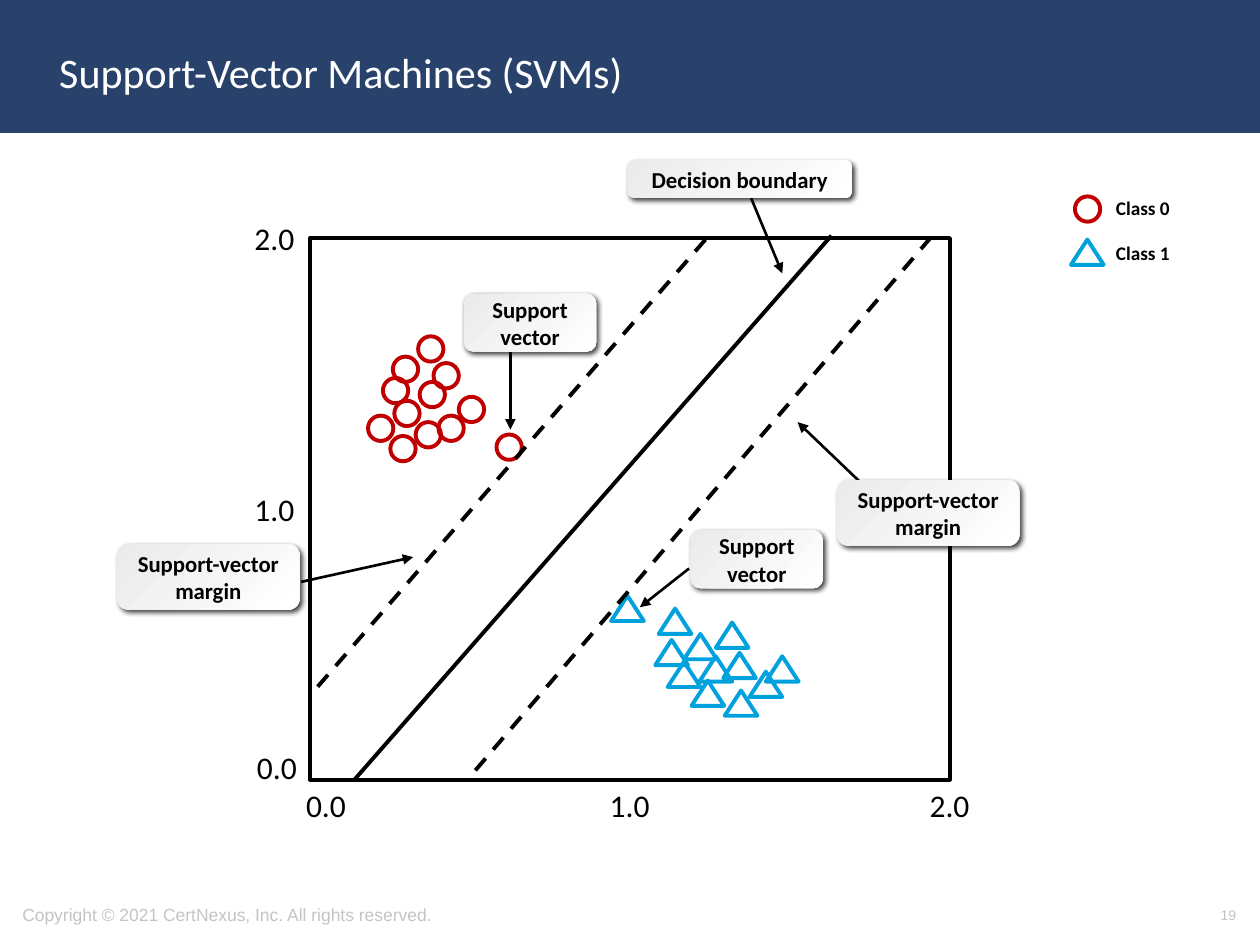
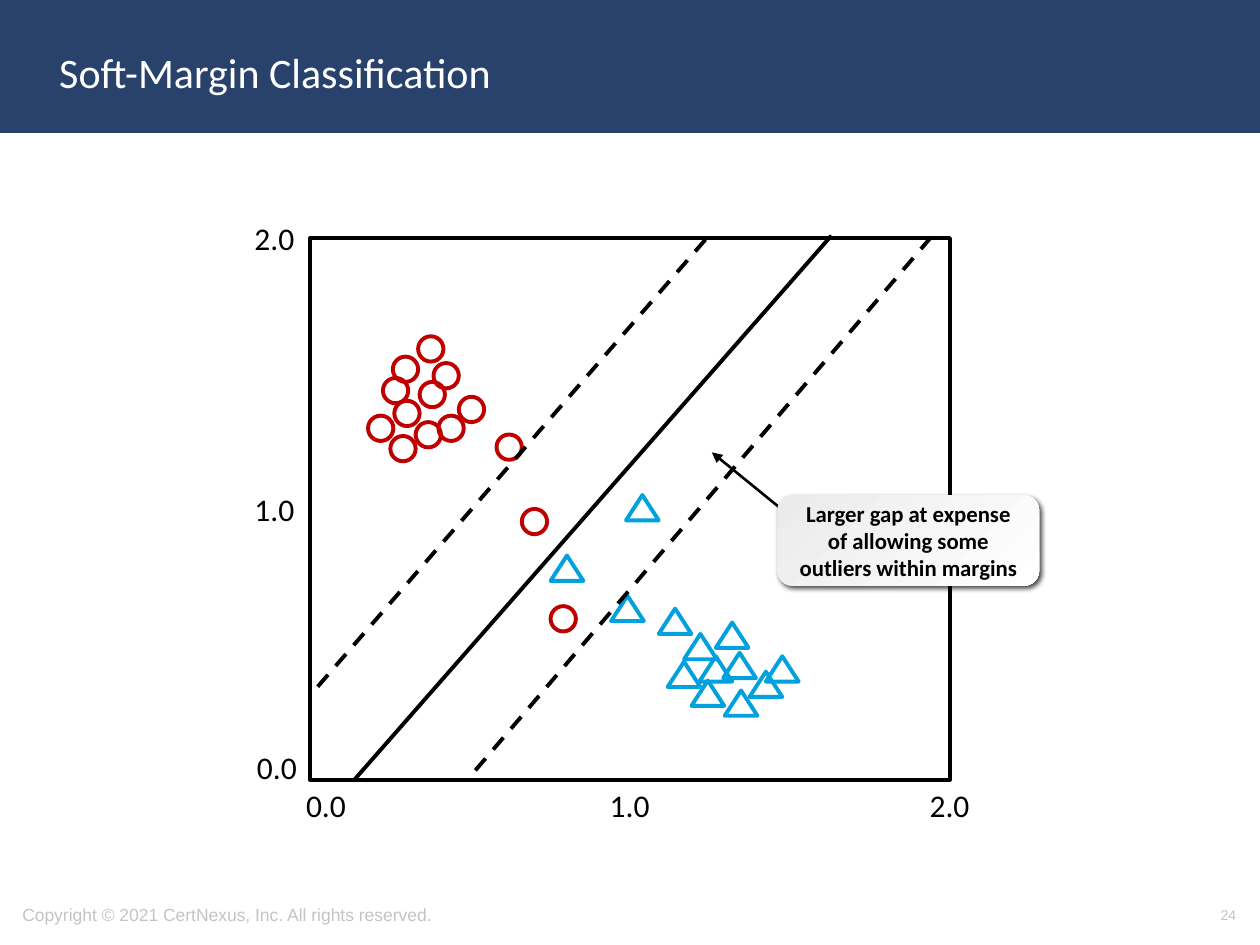
"""Build two slides that show support-vector machine margins."""
from dataclasses import dataclass

from lxml import etree
from pptx import Presentation
from pptx import util as u
from pptx.dml.color import RGBColor
from pptx.enum import dml, shapes, text
from pptx.oxml.ns import qn

NAVY, WHITE, BLACK, GREY = "28426C", "FFFFFF", "000000", "C4C4C4"
RED, BLUE, PALE = "C00000", "01A1DD", "EBEBEB"
BODY, SMALL = "Calibri", "Arial"
SHAPE, ALIGN, ANCHOR = shapes.MSO_SHAPE, text.PP_ALIGN, text.MSO_ANCHOR
PLOT = (6.25, 4.8, 12.9, 10.92)

Point = tuple[float, float]
Box = tuple[float, float, float, float]


@dataclass(frozen=True)
class Marker:
    """The symbol of one class."""
    kind: SHAPE
    width: float
    color: str


@dataclass(frozen=True)
class Line:
    """A line of the plot, from its upper to its lower end."""
    start: Point
    end: Point
    dash: bool = False


@dataclass(frozen=True)
class Callout:
    """A label with an arrow from its edge to a tip."""
    text: str
    box: Box
    tip: Point
    tail: Point


@dataclass(frozen=True)
class Page:
    """The content that differs from slide to slide."""
    title: str
    number: int
    circles: list[Point]
    triangles: list[Point]
    callouts: list[Callout]
    legend: bool = False


CLASS_0 = Marker(SHAPE.OVAL, 0.51, RED)
CLASS_1 = Marker(SHAPE.ISOSCELES_TRIANGLE, 0.66, BLUE)
MARKER_HEIGHT = 0.51

CIRCLES = [
    (8.43, 6.78), (7.92, 7.19), (8.74, 7.32), (8.46, 7.7), (7.95, 8.08), (10.01, 8.76),
    (7.42, 8.38), (9.25, 8), (8.38, 8.51), (7.87, 8.79), (8.84, 8.38), (7.72, 7.62),
]
TRIANGLES = [
    (13.28, 12.27), (12.32, 12.01), (13.79, 12.78), (14.1, 13.23), (13.46, 13.34), (14.43, 12.55),
    (14.58, 13.16), (13.94, 13.72), (14.61, 13.92), (15.11, 13.54), (15.44, 13.23),
]
LINES = [
    Line((16.76, 4.75), (7.16, 15.7)),
    Line((14.22, 4.83), (6.25, 14.02), dash=True),
    Line((18.77, 4.78), (9.42, 15.72), dash=True),
]
TICKS = [
    ("0.0", (5.92, 15.72)), ("1.0", (12.04, 15.72)), ("2.0", (18.49, 15.72)),
    ("0.0", (4.93, 14.96)), ("1.0", (4.88, 9.75)), ("2.0", (4.88, 4.29)),
]
PAGES = [
    Page("Support-Vector Machines (SVMs)", 19, CIRCLES, TRIANGLES + [(13.21, 12.9)], [
        Callout("Decision boundary", (12.65, 3.23, 4.52, 0.76), (15.77, 5.51), (15.14, 3.99)),
        Callout("Support-vector margin", (16.87, 9.68, 3.68, 1.32), (16.08, 8.51), (17.75, 10.11)),
        Callout("Support-vector margin", (2.36, 10.97, 3.68, 1.32), (8.33, 11.23), (6.07, 11.73)),
        Callout("Support vector", (13.92, 10.69, 2.67, 1.17), (12.9, 12.24), (13.89, 11.46)),
        Callout("Support vector", (9.35, 5.92, 2.67, 1.17), (10.29, 8.66), (10.29, 7.06)),
    ], legend=True),
    Page("Soft-Margin Classification", 24, CIRCLES + [(10.52, 10.26), (11.1, 12.22)],
         TRIANGLES + [(11.1, 11.2), (12.62, 9.98)], [
        Callout("Larger gap at expense of allowing some outliers within margins",
                (15.67, 9.98, 5.28, 1.83), (14.35, 9.12), (15.75, 10.26)),
    ]),
]


def rgb(value: str) -> RGBColor:
    """Turn a hex string into a colour."""
    return RGBColor.from_string(value)


def cm(*values: float) -> list[u.Cm]:
    """Turn centimetre values into lengths."""
    return [u.Cm(v) for v in values]


def write(sp, content: str, *, size: float, color: str = BLACK, font: str = BODY,
          bold: bool = False, align=ALIGN.LEFT, anchor=ANCHOR.MIDDLE,
          wrap: bool = True, grow: bool = False) -> None:
    """Put one formatted paragraph into a shape."""
    tf = sp.text_frame
    tf.word_wrap = wrap
    tf.auto_size = text.MSO_AUTO_SIZE.SHAPE_TO_FIT_TEXT if grow else text.MSO_AUTO_SIZE.NONE
    tf.vertical_anchor = anchor
    p = tf.paragraphs[0]
    p.alignment = align
    r = p.add_run()
    r.text = content
    r.font.name, r.font.size, r.font.bold = font, u.Pt(size), bold
    r.font.color.rgb = rgb(color)


def add_text(s, content: str, box: Box, **style):
    """Add a text box."""
    sp = s.shapes.add_textbox(*cm(*box))
    write(sp, content, **style)
    return sp


def add_outline(s, kind: SHAPE, box: Box, color: str, weight: float = 2.25):
    """Add an unfilled shape with a coloured outline."""
    sp = s.shapes.add_shape(kind, *cm(*box))
    sp.shadow.inherit = False
    sp.fill.background()
    sp.line.color.rgb = rgb(color)
    sp.line.width = u.Pt(weight)
    return sp


def add_marker(s, marker: Marker, at: Point) -> None:
    """Add a class symbol at its top left corner."""
    add_outline(s, marker.kind, (*at, marker.width, MARKER_HEIGHT), marker.color)


def add_line(s, line: Line, weight: float = 2.25, arrow: bool = False) -> None:
    """Add a straight line, with an arrowhead at its start if asked."""
    cx = s.shapes.add_connector(shapes.MSO_CONNECTOR.STRAIGHT, *cm(*line.start, *line.end))
    cx.line.color.rgb = rgb(BLACK)
    cx.line.width = u.Pt(weight)
    if line.dash:
        cx.line.dash_style = dml.MSO_LINE.DASH
    if arrow:
        etree.SubElement(cx.line._get_or_add_ln(), qn("a:headEnd"), type="triangle")
    etree.SubElement(cx._element.spPr, qn("a:effectLst"))


def add_shadow(sp) -> None:
    """Give a shape a soft shadow to the lower right."""
    sp.shadow.inherit = False
    effects = sp._element.spPr.find(qn("a:effectLst"))
    shadow = etree.SubElement(effects, qn("a:outerShdw"), blurRad=str(u.Pt(3)),
                              dist=str(u.Pt(2)), dir="2700000", algn="tl", rotWithShape="0")
    color = etree.SubElement(shadow, qn("a:srgbClr"), val=BLACK)
    etree.SubElement(color, qn("a:alpha"), val="75000")


def add_callout(s, callout: Callout) -> None:
    """Add an arrow and its shaded label."""
    add_line(s, Line(callout.tip, callout.tail), weight=1.5, arrow=True)
    sp = s.shapes.add_shape(SHAPE.ROUNDED_RECTANGLE, *cm(*callout.box))
    sp.fill.gradient()
    sp.fill.gradient_angle = 315
    for stop, color in zip(sp.fill.gradient_stops, (PALE, WHITE)):
        stop.color.rgb = rgb(color)
    sp.line.fill.background()
    add_shadow(sp)
    write(sp, callout.text, size=13, bold=True, align=ALIGN.CENTER)


def furnish_layout(s) -> None:
    """Move the title band and the copyright line to the layout of a slide."""
    layout = s.slide_layout
    for ph in list(layout.placeholders)[1:]:
        ph._element.getparent().remove(ph._element)
    band = add_outline(s, SHAPE.RECTANGLE, (0, 0, 25.4, 2.64), NAVY, 2)
    band.fill.solid()
    band.fill.fore_color.rgb = rgb(NAVY)
    notice = add_text(s, "Copyright © 2021 CertNexus, Inc. All rights reserved.",
                      (0.2, 17.93, 13.39, 1.02), size=10, font=SMALL, color=GREY)
    for sp in (notice, band):
        layout.shapes._spTree.insert(2, sp._element)


def add_legend(s) -> None:
    """Add the key to the two classes."""
    rows = [("Class 0", CLASS_0, (21.67, 3.96)), ("Class 1", CLASS_1, (21.59, 4.83))]
    for i, (label, marker, at) in enumerate(rows):
        add_text(s, label, (21.92, 3.84 + 0.89 * i, 2.24, 0.74), size=11, bold=True,
                 align=ALIGN.CENTER, anchor=ANCHOR.TOP, grow=True)
        add_marker(s, marker, at)


def add_plot(s, page: Page) -> None:
    """Add the frame, tick labels, class symbols and lines."""
    add_outline(s, SHAPE.RECTANGLE, PLOT, BLACK)
    for label, at in TICKS:
        add_text(s, label, (*at, 1.32, 1.02), size=18, anchor=ANCHOR.TOP,
                 wrap=label != "0.0", grow=True)
    for marker, points in ((CLASS_0, page.circles), (CLASS_1, page.triangles)):
        for at in points:
            add_marker(s, marker, at)
    for line in LINES:
        add_line(s, line)


def fill_slide(s, page: Page) -> None:
    """Fill one slide with its title, number, plot and callouts."""
    title = s.shapes.title
    title.left, title.top, title.width, title.height = cm(0.94, 0.28, 21.89, 2.34)
    write(title, page.title, size=24, color=WHITE)
    add_text(s, str(page.number), (19.25, 17.93, 5.92, 1.02), size=8, font=SMALL,
             color=GREY, align=ALIGN.RIGHT)
    if page.legend:
        add_legend(s)
    add_plot(s, page)
    for callout in page.callouts:
        add_callout(s, callout)


def main() -> None:
    """Build and save the presentation."""
    prs = Presentation()
    prs.slide_width, prs.slide_height = cm(25.4, 19.05)
    slides = [prs.slides.add_slide(prs.slide_layouts[5]) for _ in PAGES]
    furnish_layout(slides[0])
    for s, page in zip(slides, PAGES):
        fill_slide(s, page)
    prs.save("out.pptx")


if __name__ == "__main__":
    main()
